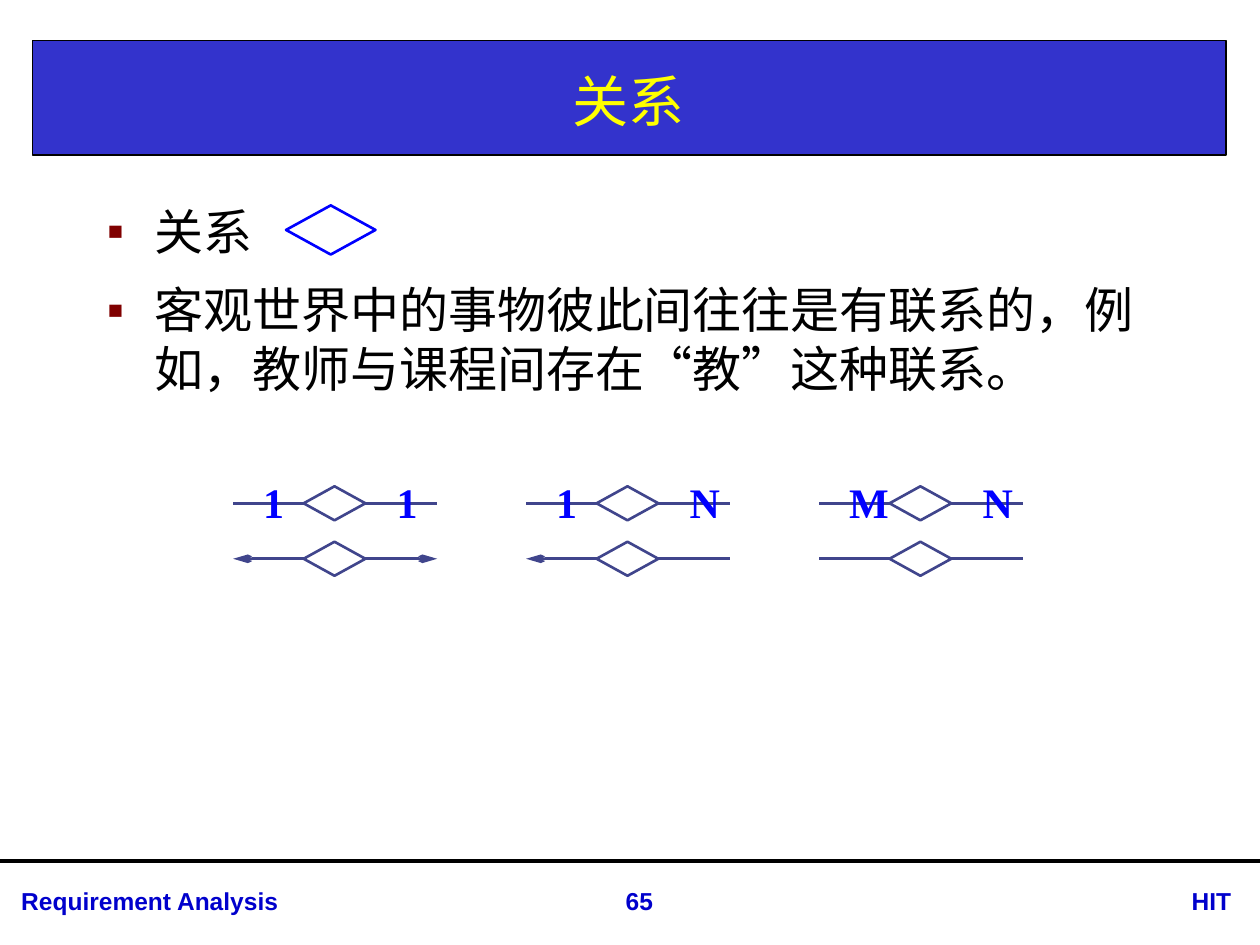
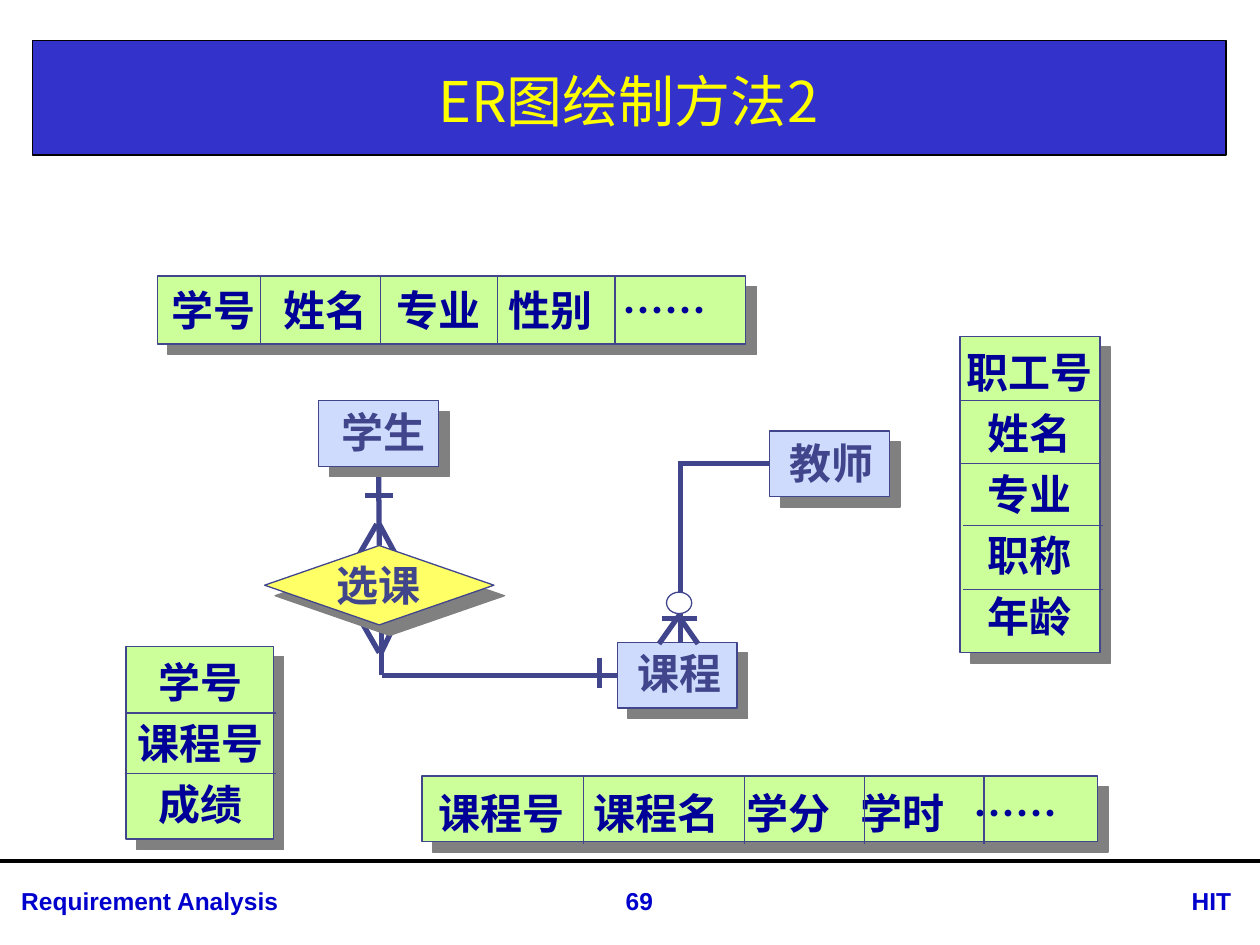
"""Builds two slides on relationships in ER diagrams."""
from lxml.etree import SubElement
from pptx import Presentation
from pptx.dml.color import RGBColor
from pptx.enum.shapes import MSO_CONNECTOR, MSO_SHAPE
from pptx.enum.text import MSO_ANCHOR, PP_ALIGN
from pptx.oxml.ns import qn
from pptx.util import Inches, Pt

HUES = {
    "band": "3333CC", "black": "000000", "title": "FFFF00", "foot": "0000CC",
    "mark": "800000", "blue": "0000FF", "ink": "40458C", "field": "000099",
    "green": "CCFF99", "pale": "CFDBFD", "yellow": "FFFF66", "white": "FFFFFF",
    "shade": "808080",
}
HUE = {name: RGBColor.from_string(code) for name, code in HUES.items()}
SANS, SERIF = "Noto Sans CJK SC", "Times New Roman"
LEFT, MID = PP_ALIGN.LEFT, PP_ALIGN.CENTER


def write(slide, place, texts, size, font, hue, bold=True, align=LEFT, pitch=None, gap=0):
    """Add a text box with one styled paragraph per text and return its frame."""
    frame = slide.shapes.add_textbox(*map(Inches, place)).text_frame
    frame.word_wrap = True
    frame.text = "\n".join(texts)
    for i, par in enumerate(frame.paragraphs):
        par.alignment = align
        if pitch:
            par.line_spacing = Pt(pitch)
        if i and gap:
            par.space_before = Pt(gap)
        for run in par.runs:
            run.font.size, run.font.bold = Pt(size), bold
            run.font.color.rgb = HUE[hue]
            run.font.name = font
            SubElement(run.font._element, qn("a:ea"), typeface=SANS)
    return frame


def draw(slide, x1, y1, x2, y2, weight, hue="ink"):
    """Add a straight line without a shadow."""
    line = slide.shapes.add_connector(
        MSO_CONNECTOR.STRAIGHT, Inches(x1), Inches(y1), Inches(x2), Inches(y2))
    line.line.width = Pt(weight)
    line.line.color.rgb = HUE[hue]
    SubElement(line._element.spPr, qn("a:effectLst"))
    return line


deck = Presentation()
deck.slide_width, deck.slide_height = Inches(10), Inches(7.5)
slides = []
for title, page in [("关系", "65"), ("ER图绘制方法2", "69")]:
    slide = deck.slides.add_slide(deck.slide_layouts[6])
    slides.append(slide)
    band = slide.shapes.add_shape(
        MSO_SHAPE.RECTANGLE, Inches(0.26), Inches(0.32), Inches(9.47), Inches(0.91))
    band.shadow.inherit = False
    band.fill.solid()
    band.fill.fore_color.rgb = HUE["band"]
    band.line.color.rgb, band.line.width = HUE["black"], Pt(0.75)
    draw(slide, 0, 6.83, 10, 6.83, 2.25, "black")
    for text, left, width, align in [
        ("Requirement Analysis", 0.07, 2.91, LEFT),
        ("HIT", 9.36, 0.64, LEFT),
        (page, 4.56, 1.03, MID),
    ]:
        write(slide, (left, 6.98, width, 0.34), [text], 14, "Arial", "foot", align=align)
    head = write(slide, (0.26, 0.36, 9.45, 0.87), [title], 32, SANS, "title", False, MID)
    head.vertical_anchor = MSO_ANCHOR.MIDDLE

slide = slides[0]
body = write(
    slide, (0.75, 1.55, 8.66, 4.73),
    ["关系", "客观世界中的事物彼此间往往是有联系的，例如，教师与课程间存在“教”这种联系。"],
    28, SANS, "black", False, pitch=33.6, gap=11.2)
for par in body.paragraphs:
    props = par._p.get_or_add_pPr()
    props.set("marL", str(Inches(0.38)))
    props.set("indent", str(-Inches(0.38)))
    tint = SubElement(props, qn("a:buClr"))
    SubElement(tint, qn("a:srgbClr"), val=HUES["mark"])
    SubElement(props, qn("a:buFont"), typeface="Arial")
    SubElement(props, qn("a:buChar"), char="▪")

gems = [(2.27, 1.63, 0.71, 0.39, "blue", None)]
for i, (tags, ends) in enumerate([("11", "both"), ("1N", "left"), ("MN", "")]):
    x = 1.85 + 2.325 * i
    gems.append((x + 0.56, 3.86, 0.49, 0.27, "ink", ("", tags, x)))
    gems.append((x + 0.56, 4.3, 0.49, 0.27, "ink", (ends, "", x)))
for left, top, width, height, hue, links in gems:
    gem = slide.shapes.add_shape(
        MSO_SHAPE.DIAMOND, Inches(left), Inches(top), Inches(width), Inches(height))
    gem.shadow.inherit = False
    gem.fill.background()
    gem.line.color.rgb, gem.line.width = HUE[hue], Pt(1.5)
    if not links:
        continue
    ends, tags, x = links
    y = top + height / 2
    for tip, site, heads in [(x, 1, ("left", "both")), (x + 1.62, 3, ("both",))]:
        arm = draw(slide, left, y, tip, y, 1.5)
        arm.begin_connect(gem, site)
        if ends in heads:
            SubElement(arm.line._get_or_add_ln(), qn("a:tailEnd"),
                       type="arrow", w="sm", len="lg")
    for j, tag in enumerate(tags):
        write(slide, (x + 0.14 + 1.06 * j, 3.73, 0.6, 0.5), [tag], 24, SERIF, "blue")

slide = slides[1]
teach = draw(slide, 5.38, 3.68, 6.11, 3.68, 3)
learn = draw(slide, 3.03, 5.36, 4.9, 5.36, 3)
enrol = draw(slide, 3.01, 4.33, 3.01, 3.7, 3)
for ends in [
    (3.01, 5.18, 2.86, 4.92), (3.03, 5.17, 3.15, 4.92), (3.03, 4.89, 3.03, 5.36),
    (2.99, 4.16, 2.84, 4.42), (3.01, 4.16, 3.14, 4.4),
]:
    draw(slide, *ends, 3)

RECT = MSO_SHAPE.RECTANGLE
nodes = {}
for name, kind, place, fill, label, stops in [
    ("学生", RECT, (2.53, 3.18, 0.95, 0.52), "pale", (2.61, 3.18, 0.88, 0.5), ()),
    ("教师", RECT, (6.11, 3.42, 0.95, 0.52), "pale", (6.17, 3.42, 0.88, 0.5), ()),
    ("课程", RECT, (4.9, 5.1, 0.95, 0.52), "pale", (4.96, 5.09, 0.88, 0.5), ()),
    ("选课", MSO_SHAPE.FLOWCHART_DECISION, (2.1, 4.33, 1.82, 0.63), "yellow",
     (2.57, 4.39, 0.88, 0.5), ()),
    ("学号\t姓名\t专业\t性别\t……", RECT, (1.25, 2.19, 4.67, 0.54), "green",
     (1.26, 2.21, 4.59, 0.5), (0.89, 1.79, 2.68, 3.58)),
    ("课程号\t课程名\t学分\t学时\t……", RECT, (3.35, 6.16, 5.36, 0.52), "green",
     (3.38, 6.2, 5.27, 0.5), (1.23, 2.45, 3.35, 4.25)),
    ("职工号\n姓名\n专业\n职称\n年龄", RECT, (7.62, 2.67, 1.11, 2.51), "green",
     (7.56, 2.7, 1.22, 2.52), ()),
    ("学号\n课程号\n成绩", RECT, (1, 5.13, 1.17, 1.53), "green",
     (0.98, 5.16, 1.22, 1.51), ()),
]:
    node = slide.shapes.add_shape(kind, *map(Inches, place))
    nodes[name] = node
    node.shadow.inherit = False
    glow = node._element.spPr.find(qn("a:effectLst"))
    cast = SubElement(glow, qn("a:outerShdw"), blurRad="0", dist=str(Pt(8.5)),
                      dir="2700000", algn="ctr", rotWithShape="0")
    SubElement(cast, qn("a:srgbClr"), val=HUES["shade"])
    node.fill.solid()
    node.fill.fore_color.rgb = HUE[fill]
    node.line.color.rgb, node.line.width = HUE["ink"], Pt(0.75)
    frame = write(slide, label, name.split("\n"), 24, SERIF,
                  "field" if fill == "green" else "ink",
                  align=MID if "\n" in name else LEFT, pitch=28.8, gap=6)
    frame.word_wrap = bool(stops)
    if stops:
        tabs = SubElement(frame.paragraphs[0]._p.get_or_add_pPr(), qn("a:tabLst"))
        for stop in stops:
            SubElement(tabs, qn("a:tab"), pos=str(Inches(stop)), algn="l")

for top, cuts in [(2.19, (2.07, 3.02, 3.95, 4.88)), (6.16, (4.63, 5.91, 6.86, 7.81))]:
    for x in cuts:
        draw(slide, x, top, x, top + 0.54, 0.75)
for left, width, cuts in [
    (7.62, 1.12, (3.18, 3.68)), (7.64, 1.11, (4.17, 4.68)), (1, 1.19, (5.66, 6.14)),
]:
    for y in cuts:
        draw(slide, left, y, left + width, y, 0.75)

for ends in [
    (2.9, 3.93, 3.12, 3.93), (4.76, 5.22, 4.76, 5.46), (5.4, 3.67, 5.4, 5.1),
    (5.4, 4.87, 5.23, 5.11), (5.4, 4.91, 5.54, 5.11),
]:
    draw(slide, *ends, 3)
ring = slide.shapes.add_shape(
    MSO_SHAPE.OVAL, Inches(5.29), Inches(4.7), Inches(0.2), Inches(0.17))
ring.shadow.inherit = False
ring.fill.solid()
ring.fill.fore_color.rgb = HUE["white"]
ring.line.color.rgb, ring.line.width = HUE["ink"], Pt(0.75)
draw(slide, 5.25, 4.91, 5.53, 4.91, 3)

teach.end_connect(nodes["教师"], 1)
learn.end_connect(nodes["课程"], 1)
enrol.begin_connect(nodes["选课"], 0)
enrol.end_connect(nodes["学生"], 2)

deck.save("out.pptx")
